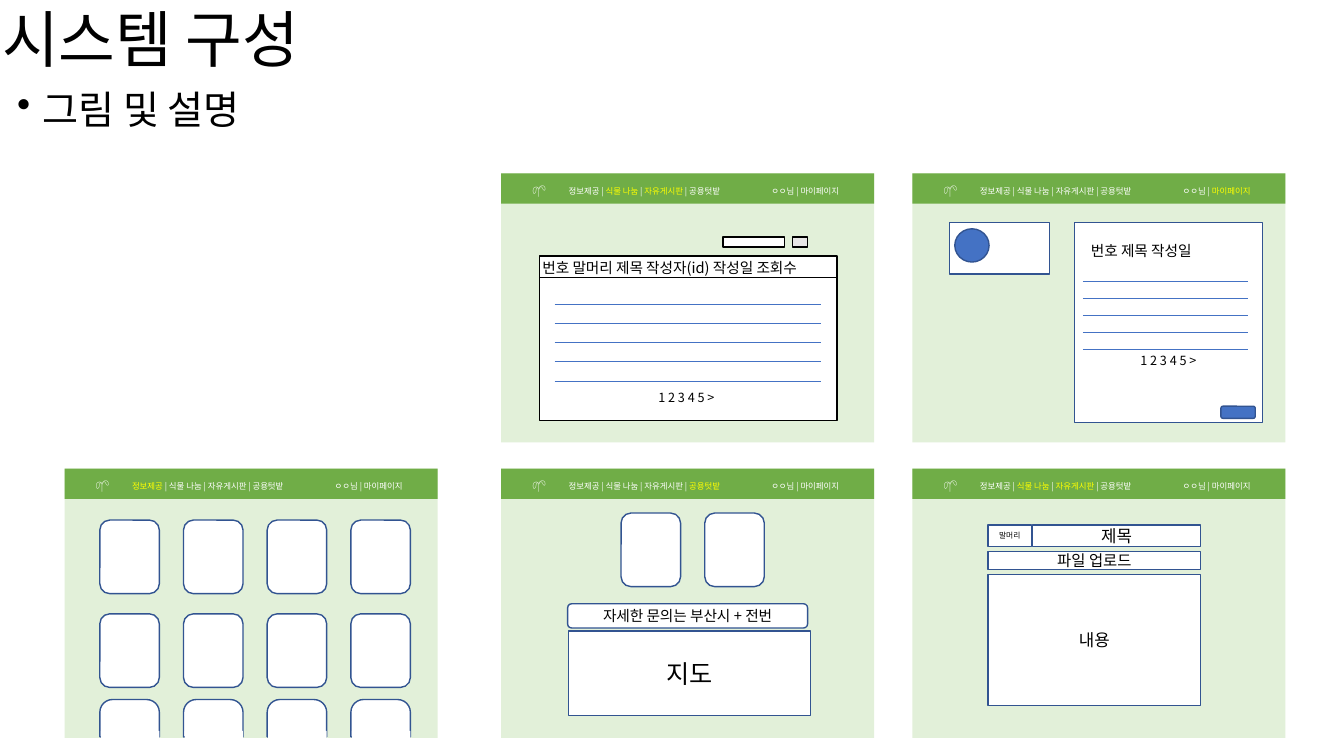
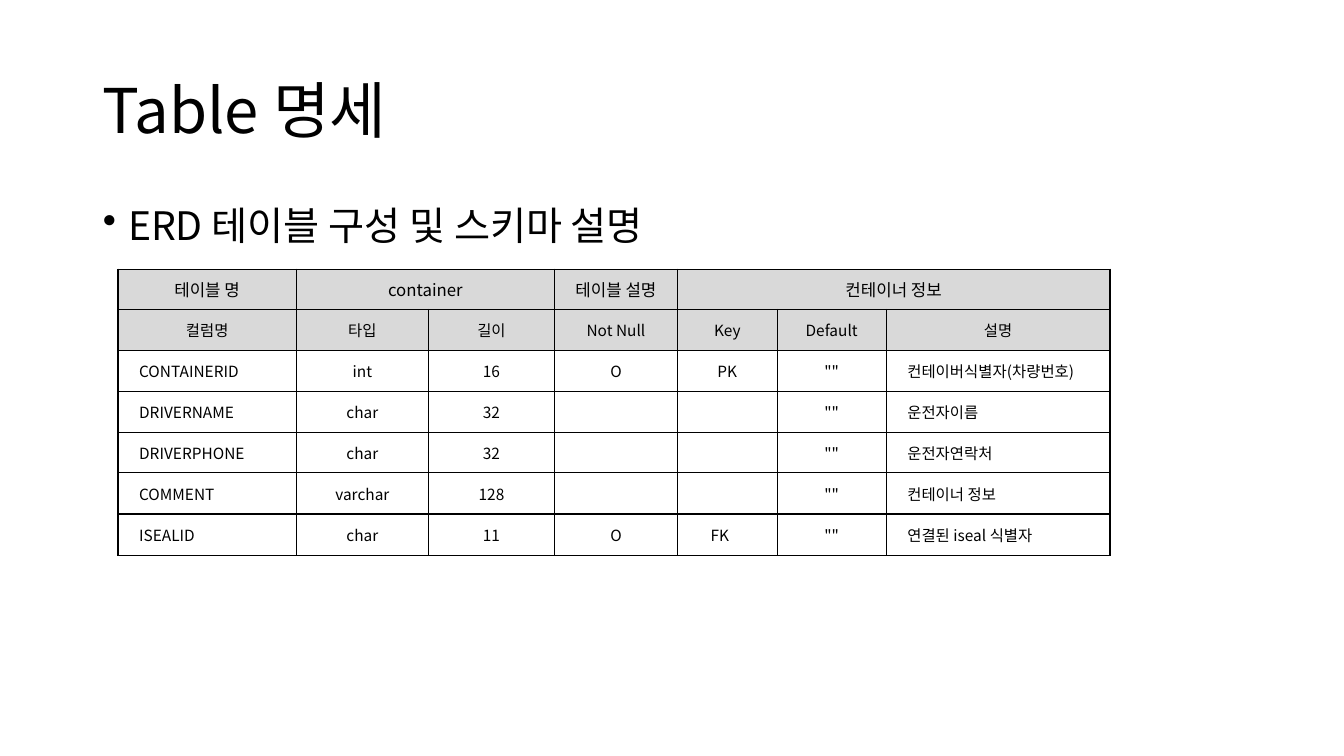
from dataclasses import dataclass
from typing import NamedTuple

from lxml.etree import SubElement
from pptx import Presentation
from pptx.dml.color import RGBColor
from pptx.enum.shapes import MSO_CONNECTOR, MSO_SHAPE
from pptx.enum.text import MSO_ANCHOR, PP_ALIGN
from pptx.oxml.ns import qn
from pptx.util import Emu, Pt

FONT = "Noto Sans CJK KR"
BLACK, WHITE, YELLOW = "000000", "FFFFFF", "FFFF00"
GREEN, PALE = "70AD47", "E2F0D9"
BLUE, NAVY = "4472C4", "325491"
GREY, SILVER = "D9D9D9", "E7E6E6"
RECT, ROUND = MSO_SHAPE.RECTANGLE, MSO_SHAPE.ROUNDED_RECTANGLE
LEFT, CENTER = PP_ALIGN.LEFT, PP_ALIGN.CENTER
TOP, MIDDLE = MSO_ANCHOR.TOP, MSO_ANCHOR.MIDDLE

MENU = ["정보제공", "식물 나눔", "자유게시판", "공용텃밭"]
USER = ["ㅇㅇ님", "마이페이지"]
PAGES = "1 2 3 4 5 >"


class Run(NamedTuple):
    text: str
    ink: str = BLACK
    size: float | None = None


@dataclass
class Panel:
    x: int
    y: int
    lit: tuple[str, ...]


@dataclass
class Box:
    x: int
    y: int
    w: int
    h: int
    fill: str = WHITE
    line: str | None = NAVY
    kind: MSO_SHAPE = RECT
    text: str = ""
    size: float = 12


PANELS = [
    Panel(497, 172, ("식물 나눔", "자유게시판")),
    Panel(64, 465, ("정보제공",)),
    Panel(905, 172, ("마이페이지",)),
    Panel(497, 465, ("공용텃밭",)),
    Panel(905, 465, ("식물 나눔", "자유게시판")),
]

BOARD = [
    Box(717, 235, 61, 10, line=BLACK),
    Box(786, 235, 15, 10, SILVER, BLACK),
    Box(535, 254, 295, 163, line=BLACK),
]
MYPAGE = [
    Box(1066, 221, 186, 198),
    Box(942, 221, 99, 51),
    Box(1211, 403, 34, 12, BLUE, kind=ROUND),
    Box(947, 227, 34, 33, BLUE, kind=MSO_SHAPE.OVAL),
]
GARDEN = [
    Box(564, 626, 240, 84, text="지도", size=18),
    Box(563, 599, 238, 24, kind=ROUND, text="자세한 문의는 부산시 + 전번", size=10.5),
]
POST = [
    Box(1024, 521, 167, 21, text="제목"),
    Box(980, 570, 211, 130, text="내용"),
    Box(980, 547, 211, 18, text="파일 업로드", size=11),
    Box(980, 521, 43, 21, text="말머리", size=5.5),
]

COLS = [177, 131, 125, 122, 99, 108, 222]
HIGH = 284
ROWS = [
    ["테이블 명", "container", "", "테이블 설명", "컨테이너 정보", "", ""],
    ["컬럼명", "타입", "길이", "Not Null", "Key", "Default", "설명"],
    ["CONTAINERID", "int", "16", "O", "PK", '""', "컨테이버식별자(차량번호)"],
    ["DRIVERNAME", "char", "32", "", "", '""', "운전자이름"],
    ["DRIVERPHONE", "char", "32", "", "", '""', "운전자연락처"],
    ["COMMENT", "varchar", "128", "", "", '""', "컨테이너 정보"],
    ["ISEALID", "char", "11", "O", "FK", '""', "연결된 iseal 식별자"],
]


def px(n: int) -> Emu:
    """One px is a hundredth of an inch."""
    return Emu(n * 9144)


def rgb(code: str) -> RGBColor:
    return RGBColor.from_string(code)


def write(frame, *runs: Run | str, size=12, align=LEFT, anchor=TOP, space=1.0,
          before=0, bullet="", indent=0, tabs=()):
    """Fill a text frame with one paragraph."""
    frame.word_wrap = True
    frame.vertical_anchor = anchor
    para = frame.paragraphs[0]
    para.alignment = align
    para.line_spacing = space
    para.space_before = Pt(before)
    props = para._p.get_or_add_pPr()
    props.set("marL", str(px(indent)))
    if bullet:
        props.set("indent", str(px(-indent)))
        SubElement(props, qn("a:buChar"), char=bullet)
    if tabs:
        stops = SubElement(props, qn("a:tabLst"))
        for stop in tabs:
            SubElement(stops, qn("a:tab"), pos=str(px(stop)), algn="l")
    for item in runs:
        part = Run(item) if isinstance(item, str) else item
        if not part.text:
            SubElement(para._p, qn("a:endParaRPr"), sz=str(int(size * 100)))
            continue
        run = para.add_run()
        run.text = part.text
        run.font.size = Pt(part.size or size)
        run.font.color.rgb = rgb(part.ink)
        run.font.name = FONT
        SubElement(run._r.get_or_add_rPr(), qn("a:ea"), typeface=FONT)


def inset(frame, left=0, right=0):
    frame.margin_left, frame.margin_right = px(left), px(right)
    frame.margin_top = frame.margin_bottom = 0


def label(slide, text: str, x: int, y: int, w: int, h: int, **form):
    frame = slide.shapes.add_textbox(px(x), px(y), px(w), px(h)).text_frame
    inset(frame)
    write(frame, text, **form)


def draw(slide, box: Box):
    shape = slide.shapes.add_shape(box.kind, px(box.x), px(box.y), px(box.w), px(box.h))
    shape.shadow.inherit = False
    shape.fill.solid()
    shape.fill.fore_color.rgb = rgb(box.fill)
    if box.line:
        shape.line.color.rgb = rgb(box.line)
        shape.line.width = Pt(1)
    else:
        shape.line.fill.background()
    inset(shape.text_frame)
    if box.text:
        write(shape.text_frame, box.text, size=box.size, align=CENTER, anchor=MIDDLE)
    return shape


def rule(slide, x: int, y: int, w: int, ink=BLUE, width=0.5):
    """Draw a level line."""
    line = slide.shapes.add_connector(MSO_CONNECTOR.STRAIGHT, px(x), px(y), px(x + w), px(y))
    line.line.color.rgb = rgb(ink)
    line.line.width = Pt(width)
    SubElement(line._element.spPr, qn("a:effectLst"))


def links(names: list[str], lit: tuple[str, ...]) -> list[Run]:
    """Join menu names with bars, the lit ones in yellow."""
    runs = []
    for i, name in enumerate(names):
        if i:
            runs.append(Run(" | ", WHITE))
        runs.append(Run(name, YELLOW if name in lit else WHITE))
    return runs


def screen(slide, panel: Panel):
    draw(slide, Box(panel.x, panel.y, 370, 267, PALE, None))
    band = draw(slide, Box(panel.x, panel.y, 370, 30, GREEN, None)).text_frame
    inset(band, left=31)
    tab = Run("\t", WHITE)
    write(band, Run("🌱", WHITE, 10.5), tab, *links(MENU, panel.lit), tab,
          *links(USER, panel.lit), size=6, anchor=MIDDLE, tabs=(36, 237))


def cards(slide, x: int, y: int, count: int):
    for i in range(count):
        draw(slide, Box(x + 83 * i, y, 59, 73, kind=ROUND))


def cropped(slide, x: int, y: int):
    """Draw a card that runs off the foot of its panel."""
    card = draw(slide, Box(x, y, 59, 37, kind=MSO_SHAPE.ROUND_2_SAME_RECTANGLE))
    card.adjustments[0] = 0.34
    draw(slide, Box(x + 1, 725, 58, 11, line=None))


def heading(slide, title: str, topic: str, x: int, y: int, w: int, h: int,
            low: int, space: float):
    """Place the title, and the bulleted topic with its top at low."""
    label(slide, title, x, y, w, h, size=44, anchor=MIDDLE, space=0.9)
    shift = 15 if y == 0 else 0
    label(slide, topic, x + shift, low, w, 42, size=28, space=space, before=10,
          bullet="•", indent=25)


def layout(slide):
    heading(slide, "시스템 구성", "그림 및 설명", 2, 0, 398, 85, 94, 0.8)
    for panel in PANELS:
        screen(slide, panel)
    for box in BOARD + MYPAGE + GARDEN + POST:
        draw(slide, box)
    rule(slide, 535, 275, 294, BLACK, 1)
    label(slide, "번호 말머리 제목 작성자(id) 작성일 조회수", 538, 257, 320, 18, size=10.5)
    label(slide, "번호 제목 작성일", 1082, 240, 160, 18, size=10.5)
    for i in range(5):
        rule(slide, 550, 302 + 19 * i, 264)
        rule(slide, 1074, 279 + 17 * i, 164)
    label(slide, PAGES, 653, 387, 140, 19, size=9)
    label(slide, PAGES, 1131, 350, 105, 16, size=9)
    cards(slide, 99, 516, 4)
    cards(slide, 99, 609, 4)
    cards(slide, 616, 509, 2)
    for i in range(4):
        cropped(slide, 99 + 83 * i, 694)


def border(cell):
    props = cell._tc.get_or_add_tcPr()
    for side in "LRTB":
        line = SubElement(props, qn(f"a:ln{side}"), w=str(Pt(1)))
        fill = SubElement(line, qn("a:solidFill"))
        SubElement(fill, qn("a:srgbClr"), val=BLACK)


def schema(slide):
    heading(slide, "Table 명세", "ERD 테이블 구성 및 스키마 설명", 102, 45, 1130, 135, 205, 0.9)
    count = len(ROWS)
    table = slide.shapes.add_table(count, len(COLS), px(117), px(267),
                                   px(sum(COLS)), px(HIGH)).table
    table.first_row = table.horz_banding = False
    for col, width in zip(table.columns, COLS):
        col.width = px(width)
    for r, names in enumerate(ROWS):
        table.rows[r].height = px(HIGH * (r + 1) // count - HIGH * r // count)
        for c, name in enumerate(names):
            cell = table.cell(r, c)
            border(cell)
            inset(cell, 1, 16 if name == "FK" else 1)
            cell.vertical_anchor = MIDDLE
            if r < 2:
                cell.fill.solid()
                cell.fill.fore_color.rgb = rgb(GREY)
            else:
                cell.fill.background()
            side = r > 1 and c in (0, len(COLS) - 1)
            write(cell.text_frame, name, size=11 if r else 12, anchor=None,
                  align=LEFT if side else CENTER, indent=20 if side else 0)
    table.cell(0, 1).merge(table.cell(0, 2))
    table.cell(0, 4).merge(table.cell(0, 6))


def main():
    deck = Presentation()
    deck.slide_width, deck.slide_height = px(1333), px(750)
    for build in (layout, schema):
        build(deck.slides.add_slide(deck.slide_layouts[6]))
    deck.save("out.pptx")


if __name__ == "__main__":
    main()
